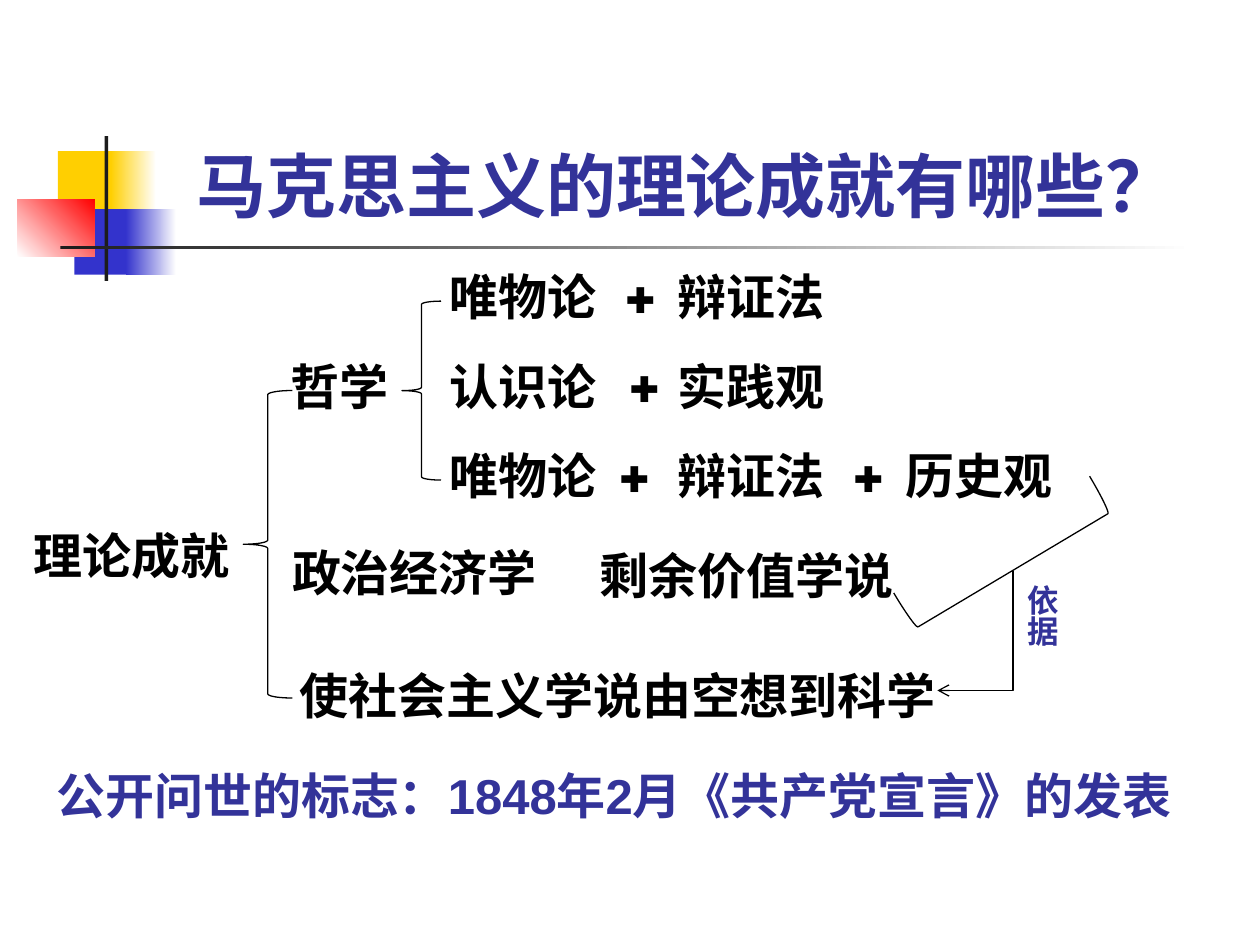
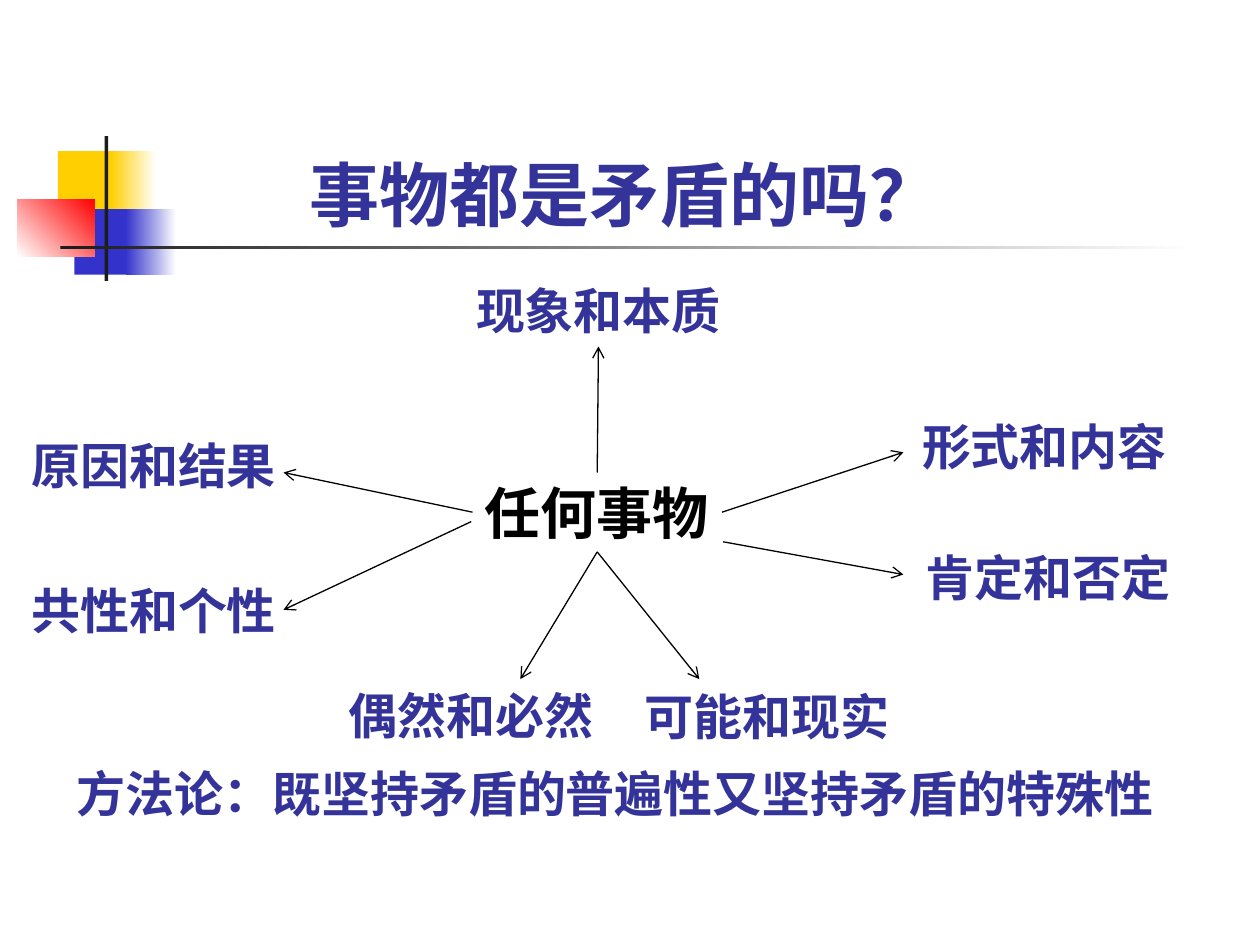
from lxml import etree
from pptx import Presentation
from pptx.dml.color import RGBColor
from pptx.enum import shapes, text
from pptx.oxml.ns import qn
from pptx.util import Inches, Pt

COLORS = {"navy": "333399", "black": "000000", "white": "FFFFFF", "yellow": "FFCF01",
          "blue": "3333CC", "red": "FF0000", "dark": "1C1C1C"}
HEADING_SIZE, BODY_SIZE = 40, 28
CJK_FONT = "Noto Sans CJK SC"
DIAGRAM_FONT = "League Spartan"


def rgb(name):
    return RGBColor.from_string(COLORS[name])


def add_words(slide, words, left, top, width=None, height=None, size=BODY_SIZE,
              font="Arial", color="navy", wrap=False):
    """Add one bold line; unless given, its box is sized from the character count."""
    width = width or round(len(words) * size / 72 + 0.2, 2)
    height = height or round(size / 60 + 0.1, 2)
    box = slide.shapes.add_textbox(Inches(left), Inches(top), Inches(width), Inches(height))
    frame = box.text_frame
    frame.word_wrap = wrap
    run = frame.paragraphs[0].add_run()
    run.text = words
    run.font.name = font
    run.font.size = Pt(size)
    run.font.bold = True
    run.font.color.rgb = rgb(color)
    east_asian = etree.SubElement(run.font._element, qn("a:ea"))
    east_asian.set("typeface", CJK_FONT)
    return box


def style_outline(shape):
    shape.line.color.rgb = rgb("black")
    shape.line.width = Pt(0.75)


def add_arrow(slide, start, end, kind=shapes.MSO_CONNECTOR.STRAIGHT):
    arrow = slide.shapes.add_connector(kind, *(Inches(v) for v in (*start, *end)))
    style_outline(arrow)
    tail = etree.SubElement(arrow.line._get_or_add_ln(), qn("a:tailEnd"))
    tail.set("type", "arrow")
    etree.SubElement(arrow._element.spPr, qn("a:effectLst"))
    return arrow


def add_bracket(slide, kind, left, top, width, height, rotation=0):
    bracket = slide.shapes.add_shape(kind, Inches(left), Inches(top),
                                     Inches(width), Inches(height))
    bracket.shadow.inherit = False
    bracket.fill.background()
    style_outline(bracket)
    bracket.rotation = rotation


def add_block(slide, left, top, width, height, start, end=None, angle=0):
    """Add a borderless rectangle, solid or fading from start to end."""
    block = slide.shapes.add_shape(shapes.MSO_SHAPE.RECTANGLE, Inches(left), Inches(top),
                                   Inches(width), Inches(height))
    block.shadow.inherit = False
    block.line.fill.background()
    if end is None:
        block.fill.solid()
        block.fill.fore_color.rgb = rgb(start)
        return
    block.fill.gradient()
    block.fill.gradient_angle = angle
    for stop, name, position in zip(block.fill.gradient_stops, (start, end), (0, 1)):
        stop.color.rgb = rgb(name)
        stop.position = position


def add_ornament(slide, left, top):
    """Add the coloured squares and crossing rules beside the heading."""
    for dx, dy, width, height, *paint in (
        (0.32, 0.12, 0.48, 0.52, "yellow"),
        (0.74, 0.12, 0.36, 0.52, "yellow", "white"),
        (0.45, 0.58, 0.46, 0.52, "blue"),
        (0.86, 0.58, 0.4, 0.52, "blue", "white"),
        (0, 0.5, 0.61, 0.46, "white", "red", 45),
        (0.69, 0, 0.03, 1.15, "dark"),
        (0.34, 0.87, 9, 0.03, "dark", "white"),
    ):
        add_block(slide, left + dx, top + dy, width, height, *paint)


def add_philosophy(slide, left, top):
    """Add the three rows of summed theories, with their brace and label."""
    column_step, row_step = 1.81, 0.71
    rows = ((("唯物论", "辩证法"), (1.67,)),
            (("认识论", "实践观"), (1.7,)),
            (("唯物论", "辩证法", "历史观"), (1.62, 3.48)))
    add_words(slide, "哲学", left - 0.98, top + row_step, font=DIAGRAM_FONT, color="black")
    add_bracket(slide, shapes.MSO_SHAPE.LEFT_BRACE, left, top + 0.32, 0.31, 2 * row_step)
    for row, (theories, pluses) in enumerate(rows):
        row_top = top + row * row_step
        for column, theory in enumerate(theories):
            add_words(slide, theory, left + 0.28 + column * column_step, row_top,
                      font=DIAGRAM_FONT, color="black")
        for dx in pluses:
            add_words(slide, "+", left + dx, row_top - 0.07, width=0.48, size=36,
                      font=DIAGRAM_FONT, color="black")


def add_achievements(slide, left, top):
    """Add the root label, its brace and the two lower branches."""
    for words, dx, dy in (("理论成就", 0, 2.05), ("政治经济学", 2.05, 2.19),
                          ("剩余价值学说", 4.49, 2.21),
                          ("使社会主义学说由空想到科学", 2.11, 3.16)):
        add_words(slide, words, left + dx, top + dy, font=DIAGRAM_FONT, color="black")
    add_bracket(slide, shapes.MSO_SHAPE.LEFT_BRACE, left + 1.76, top + 1.03, 0.39, 2.44)
    add_philosophy(slide, left + 3.02, top)


def add_basis(slide, left, top):
    """Add the slanted bracket and the elbow arrow that lead to scientific socialism."""
    add_bracket(slide, shapes.MSO_SHAPE.RIGHT_BRACKET, left + 0.35, top, 0.33, 1.81, 59.2)
    elbow = add_arrow(slide, (left + 0.6, top + 1.05), (left, top + 2),
                      shapes.MSO_CONNECTOR.ELBOW)
    geometry = elbow._element.spPr.find(qn("a:prstGeom"))
    adjustments = geometry.find(qn("a:avLst"))
    if adjustments is None:
        adjustments = etree.SubElement(geometry, qn("a:avLst"))
    bend = etree.SubElement(adjustments, qn("a:gd"))
    bend.set("name", "adj1")
    bend.set("fmla", "val 0")
    basis = add_words(slide, "依据", left + 0.53, top + 1.06, 0.5, 0.94, size=18, wrap=True)
    frame = basis.text_frame
    frame.margin_left = frame.margin_right = Inches(0.05)
    frame.margin_top = frame.margin_bottom = Inches(0.1)
    frame.paragraphs[0].alignment = text.PP_ALIGN.CENTER
    frame._txBody.bodyPr.set("vert", "eaVert")


def add_contradictions(slide, left, top):
    """Add the central subject with arrows to the pairs around it."""
    subject = add_words(slide, "任何事物", left + 3.6, top + 1.57, size=32, color="black")
    pairs = {words: add_words(slide, words, left + dx, top + dy) for words, dx, dy in (
        ("现象和本质", 3.53, 0), ("原因和结果", 0, 1.23), ("共性和个性", 0, 2.38),
        ("形式和内容", 7.07, 1.08), ("肯定和否定", 7.1, 2.12),
        ("偶然和必然", 2.52, 3.21), ("可能和现实", 4.87, 3.22))}
    # start, end, side of the subject it is joined to
    for start, end, side in (
        ((4.59, 1.57), (4.6, 0.57), 0),
        ((3.59, 1.89), (2.1, 1.57), 1),
        ((5.59, 1.89), (7.02, 1.41), 3),
        ((4.59, 2.21), (5.4, 3.21), 2),
        ((4.59, 2.21), (3.98, 3.21), 2),
        ((3.59, 1.96), (2.1, 2.66), None),
        ((5.59, 2.12), (7.02, 2.38), None),
    ):
        arrow = add_arrow(slide, *((left + x, top + y) for x, y in (start, end)))
        if side is not None:
            arrow.begin_connect(subject, side)
        if side == 0:
            arrow.end_connect(pairs["现象和本质"], 2)


def new_slide(deck):
    slide = deck.slides.add_slide(deck.slide_layouts[6])
    add_ornament(slide, 0.14, 1.08)
    return slide


def build_theory_slide(deck):
    slide = new_slide(deck)
    heading = add_words(slide, "马克思主义的理论成就有哪些？", 1.01, 0.6, 8.87, 1.25,
                        size=HEADING_SIZE, font="Roboto", wrap=True)
    heading.text_frame.vertical_anchor = text.MSO_ANCHOR.BOTTOM
    heading.text_frame.paragraphs[0].alignment = text.PP_ALIGN.CENTER
    add_achievements(slide, 0.17, 2.07)
    add_basis(slide, 7.44, 3.48)
    add_words(slide, "公开问世的标志：1848年2月《共产党宣言》的发表", 0.35, 6.03,
              width=9.45, wrap=True)


def build_contradiction_slide(deck):
    slide = new_slide(deck)
    add_words(slide, "事物都是矛盾的吗？", 2.36, 1.15, size=HEADING_SIZE)
    add_contradictions(slide, 0.15, 2.18)
    add_words(slide, "方法论：既坚持矛盾的普遍性又坚持矛盾的特殊性", 0.51, 6.01,
              width=9.02, font=CJK_FONT, wrap=True)


def main():
    deck = Presentation()
    deck.slide_width, deck.slide_height = Inches(10), Inches(7.5)
    build_theory_slide(deck)
    build_contradiction_slide(deck)
    deck.save("out.pptx")


if __name__ == "__main__":
    main()
